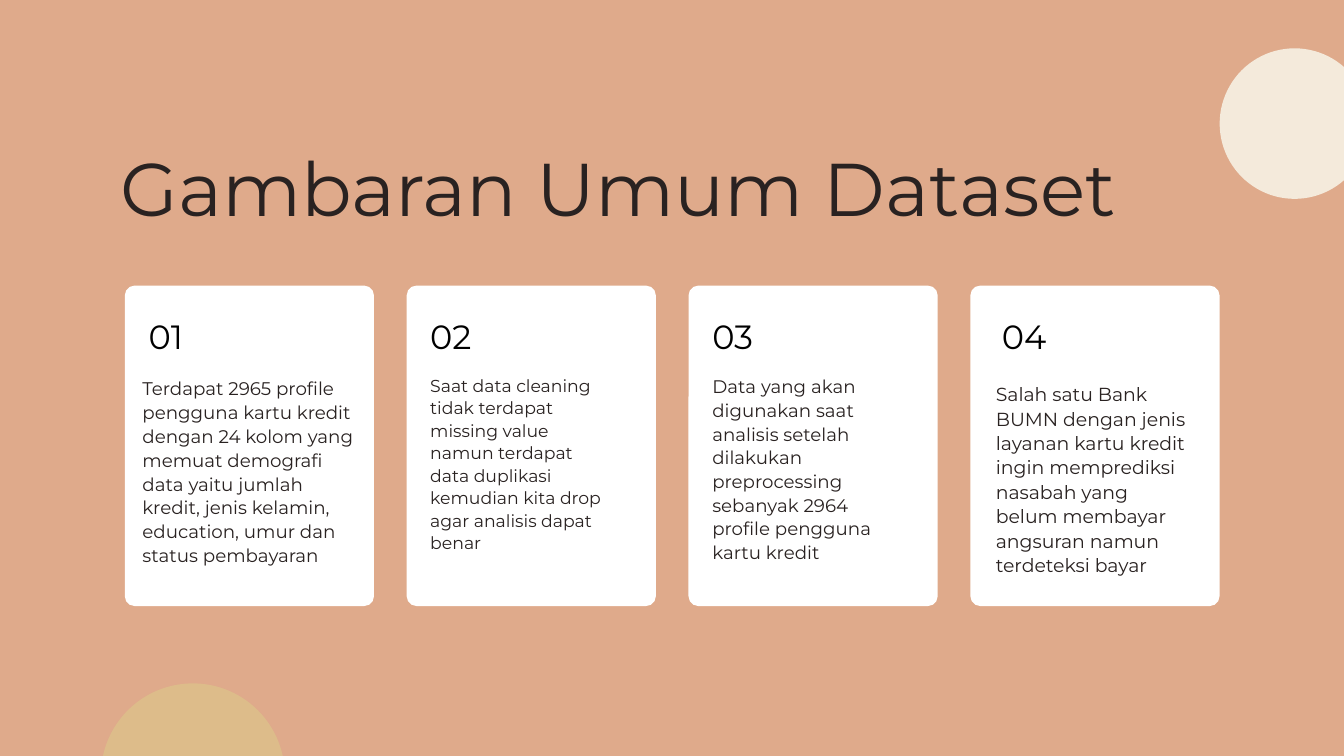
from pptx import Presentation
from pptx.dml.color import RGBColor
from pptx.enum.shapes import MSO_SHAPE as Shape
from pptx.enum.text import MSO_AUTO_SIZE as AutoSize, PP_ALIGN as Align
from pptx.util import Pt

FONT = "Montserrat"
PEACH, WHITE, BLACK, INK = "DFAA8B", "FFFFFF", "000000", "292221"
SAND, CREAM = "DDBC8A", "F4EADB"

TITLE = "Gambaran Umum Dataset"
CARDS = [
    dict(number="01", number_left=159.2,
         text="Terdapat 2965 profile pengguna kartu kredit dengan 24 kolom yang memuat "
              "demografi data yaitu jumlah kredit, jenis kelamin, education, umur dan "
              "status pembayaran",
         place=(152.6, 402.5, 229, 229.7), size=19.6, spacing=25.5),
    dict(number="02", number_left=461,
         text="Saat data cleaning tidak terdapat missing value namun terdapat data "
              "duplikasi kemudian kita drop agar analisis dapat benar",
         place=(461, 400.3, 188, 216.7), size=18.5, spacing=24),
    dict(number="03", number_left=763.2,
         text="Data yang akan digunakan saat analisis setelah dilakukan preprocessing "
              "sebanyak 2964 profile pengguna kartu kredit",
         place=(763.2, 400.3, 198.7, 228.2), size=19.5, spacing=25.4),
    dict(number="04", number_left=1073.5,
         text="Salah satu Bank BUMN dengan jenis layanan kartu kredit ingin memprediksi "
              "nasabah yang belum membayar angsuran namun terdeteksi bayar",
         place=(1067, 408.2, 212.4, 208), size=20.2, spacing=26.2),
]
CIRCLES = [
    ((108, 732.2, 197.3, 198), SAND),
    ((1306.8, 51.8, 160.6, 161.3), CREAM),
]
CARD_LEFT, CARD_TOP, CARD_WIDTH, CARD_HEIGHT = 133.7, 306, 267, 343.4
CARD_PITCH = 302
CARD_RADIUS = 10.6


def color(value):
    return RGBColor.from_string(value)


def add_filled(page, kind, place, fill):
    shape = page.shapes.add_shape(kind, *map(Pt, place))
    shape.shadow.inherit = False
    shape.fill.solid()
    shape.fill.fore_color.rgb = color(fill)
    shape.line.fill.background()
    return shape


def add_text(page, text, place, size, spacing, ink=INK, align=Align.LEFT):
    frame = page.shapes.add_textbox(*map(Pt, place)).text_frame
    frame.margin_left = frame.margin_top = frame.margin_right = frame.margin_bottom = 0
    frame.word_wrap = True
    frame.auto_size = AutoSize.SHAPE_TO_FIT_TEXT
    frame.text = text
    para = frame.paragraphs[0]
    para.alignment = align
    para.line_spacing = Pt(spacing)
    font = para.runs[0].font
    font.name = FONT
    font.size = Pt(size)
    font.color.rgb = color(ink)


def main():
    deck = Presentation()
    deck.slide_width, deck.slide_height = Pt(1440), Pt(810)
    page = deck.slides.add_slide(deck.slide_layouts[6])
    page.background.fill.solid()
    page.background.fill.fore_color.rgb = color(PEACH)

    add_text(page, TITLE, (88.6, 151.9, 1147.7, 95.8), 80, 96, align=Align.CENTER)
    for index, card in enumerate(CARDS):
        left = CARD_LEFT + index * CARD_PITCH
        panel = add_filled(page, Shape.ROUNDED_RECTANGLE,
                           (left, CARD_TOP, CARD_WIDTH, CARD_HEIGHT), WHITE)
        panel.adjustments[0] = CARD_RADIUS / CARD_WIDTH
        add_text(page, card["number"], (card["number_left"], 324.7, 57.6, 52.6),
                 36, 56.5, BLACK)
        add_text(page, card["text"], card["place"], card["size"], card["spacing"])
    for place, fill in CIRCLES:
        add_filled(page, Shape.OVAL, place, fill)

    deck.save("out.pptx")


if __name__ == "__main__":
    main()
